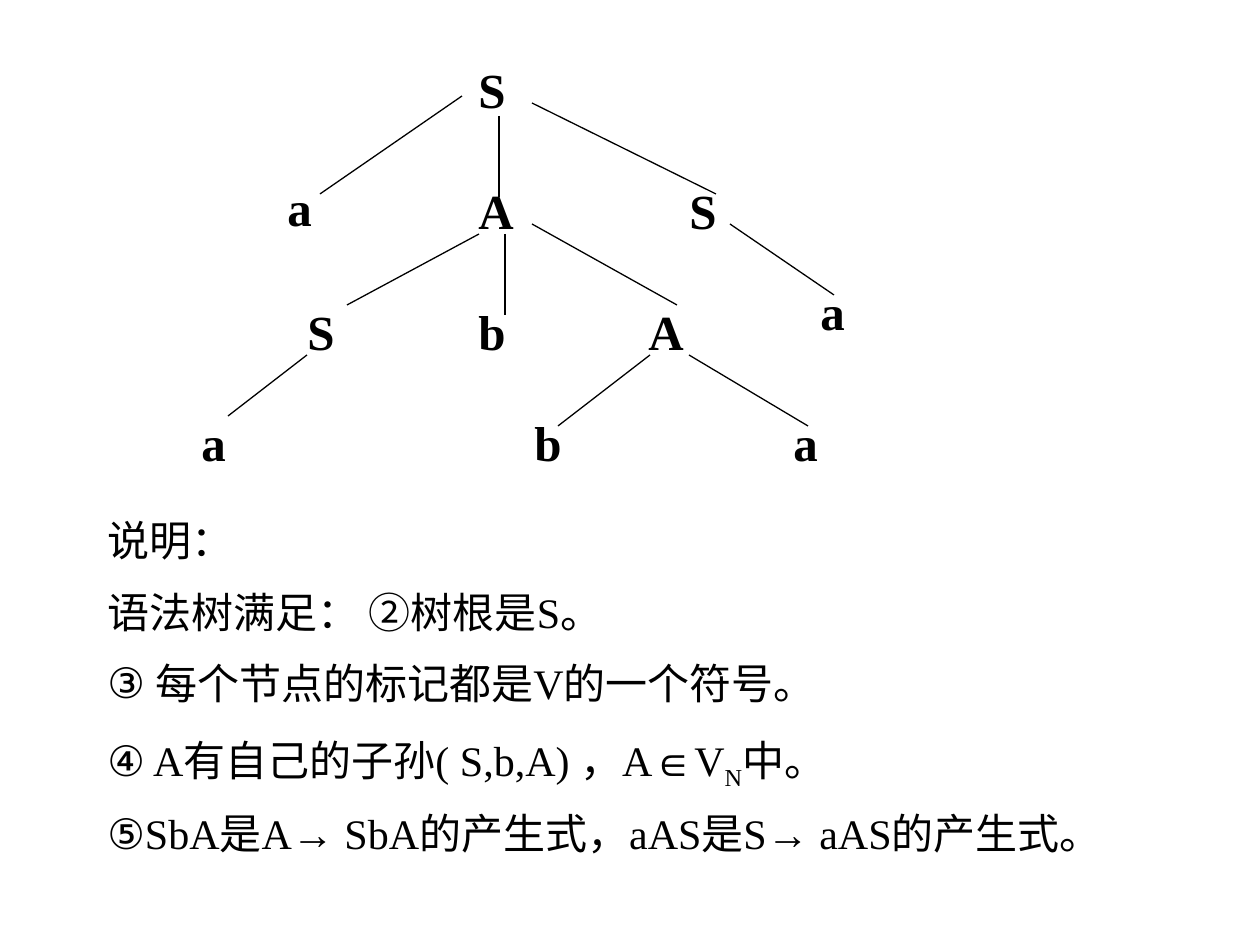
import pptx
import pptx.dml.color
import pptx.enum.shapes
import pptx.enum.text
import pptx.oxml
import pptx.util
from dataclasses import dataclass

PX = 914400 / 126  # EMU per px


@dataclass(frozen=True)
class Theme:
    ink: pptx.dml.color.RGBColor = pptx.dml.color.RGBColor(0, 0, 0)
    font: str = "Times New Roman"
    symbol_font: str = "Arial"
    node_size: int = 28
    body_size: int = 24
    line_width: float = 0.75


THEME = Theme()
SYMBOLS = "②④⑤∈→"

# Tree nodes: label, left, top
NODES = [
    ("S", 277, 0),
    ("a", 86, 118), ("A", 277, 121), ("S", 488, 121),
    ("a", 619, 222), ("S", 106, 242), ("b", 277, 242), ("A", 447, 242),
    ("a", 0, 353), ("b", 333, 353), ("a", 592, 353),
]
# Tree branches: start x, y, end x, y
BRANCHES = [
    (273, 43, 131, 141), (310, 63, 310, 144), (343, 50, 527, 141),
    (290, 181, 158, 252), (316, 181, 316, 262), (343, 171, 488, 252),
    (541, 171, 645, 242),
    (118, 302, 39, 363), (461, 302, 369, 373), (500, 302, 619, 373),
]
# Notes: bullet, then runs; a run that starts with "_" is a subscript
NOTES = [
    (None, ["说明："]),
    (None, ["语法树满足： ", "②", "树根是S。"]),
    ("③", ["每个节点的标记都是V的一个符号。"]),
    (None, ["④", " A有自己的子孙( S,b,A) ，A", "∈", "V", "_N", "中。"]),
    (None, ["⑤", "SbA是A", "→", " SbA的产生式，aAS是S", "→", " aAS的产生式。"]),
]


def emu(*lengths):
    return [pptx.util.Emu(round(n * PX)) for n in lengths]


def add_xml(parent, tag, **attrs):
    child = pptx.oxml.parse_xml(f'<{tag} xmlns:a="http://schemas.openxmlformats.org/drawingml/2006/main"/>')
    for name, value in attrs.items():
        child.set(name, str(value))
    parent.append(child)


def style_run(r, size, font=THEME.font, bold=False):
    r.font.size = pptx.util.Pt(size)
    r.font.name = font
    r.font.bold = bold
    r.font.color.rgb = THEME.ink


def add_textbox(shapes, left, top, width, height):
    tf = shapes.add_textbox(*emu(left, top, width, height)).text_frame
    tf.word_wrap = True
    tf.auto_size = pptx.enum.text.MSO_AUTO_SIZE.NONE
    return tf


def add_tree(s, left, top):
    shapes = s.shapes.add_group_shape().shapes

    # Branches
    for x1, y1, x2, y2 in BRANCHES:
        line = shapes.add_connector(
            pptx.enum.shapes.MSO_CONNECTOR.STRAIGHT,
            *emu(left + x1, top + y1, left + x2, top + y2))
        line.line.color.rgb = THEME.ink
        line.line.width = pptx.util.Pt(THEME.line_width)
        add_xml(line._element.spPr, "a:effectLst")

    # Node labels
    for label, x, y in NODES:
        tf = add_textbox(shapes, left + x, top + y, 106, 72)
        tf.text = label
        style_run(tf.paragraphs[0].runs[0], THEME.node_size, bold=True)


def add_notes(s, left, top, width, height):
    tf = add_textbox(s.shapes, left, top, width, height)
    indent = emu(48)[0]
    for i, (bullet, texts) in enumerate(NOTES):
        p = tf.paragraphs[0] if i == 0 else tf.add_paragraph()
        p.line_spacing = 0.9
        if i:
            p.space_before = pptx.util.Pt(15)

        # Hanging indent and bullet
        pPr = p._p.get_or_add_pPr()
        pPr.set("marL", str(indent))
        pPr.set("indent", str(-indent))
        if bullet:
            add_xml(pPr, "a:buFont", typeface=THEME.symbol_font)
            add_xml(pPr, "a:buChar", char=bullet)
        else:
            add_xml(pPr, "a:buNone")

        for text in texts:
            r = p.add_run()
            r.text = text.removeprefix("_")
            font = THEME.symbol_font if text in SYMBOLS else THEME.font
            style_run(r, THEME.body_size, font)
            if text.startswith("_"):
                r.font._element.set("baseline", "-25000")


def main():
    prs = pptx.Presentation()
    prs.slide_width, prs.slide_height = emu(1260, 945)
    s = prs.slides.add_slide(prs.slide_layouts[6])
    add_tree(s, 189, 53)
    add_notes(s, 95, 514, 1071, 357)
    prs.save("out.pptx")


if __name__ == "__main__":
    main()
